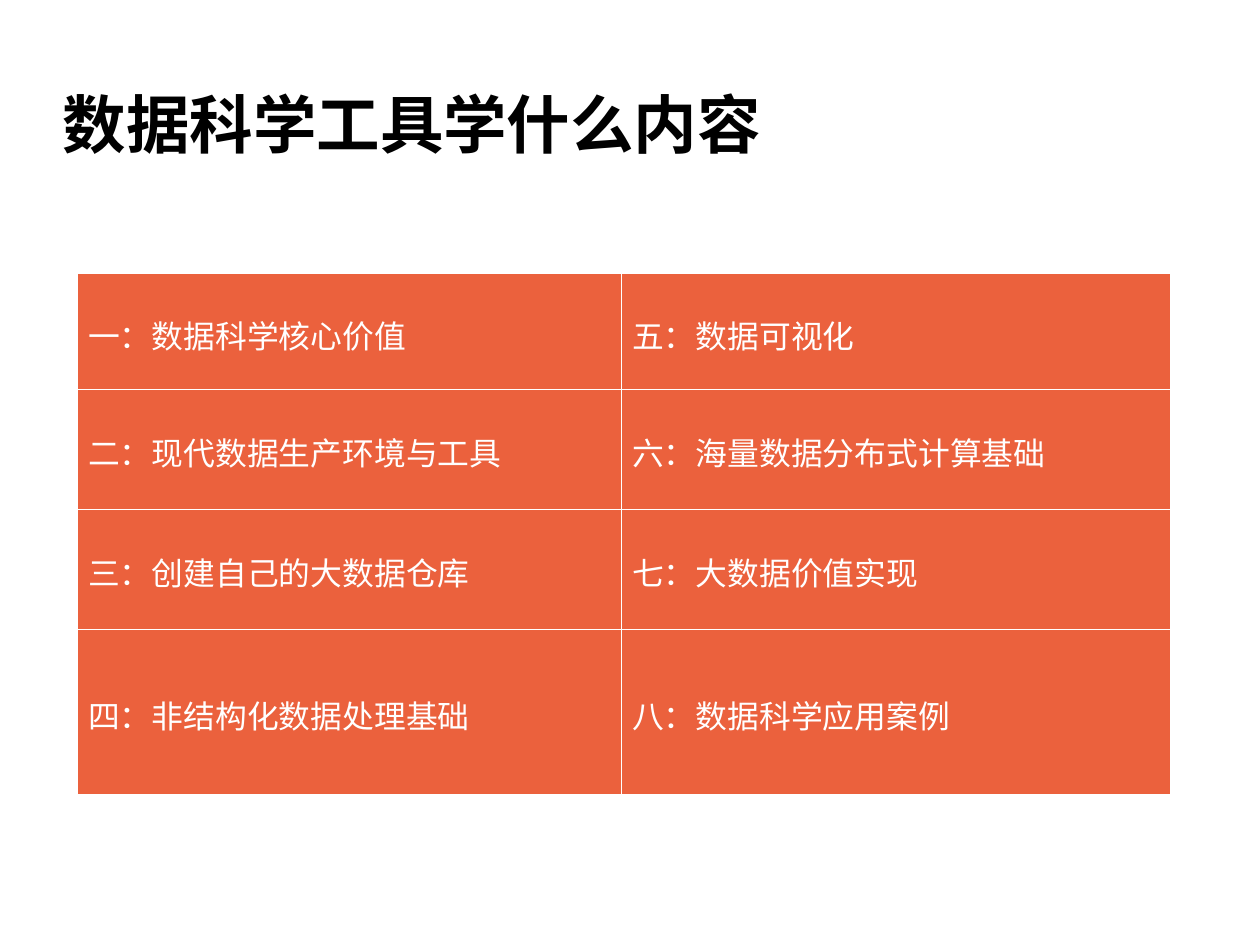
from lxml.etree import SubElement
from pptx import Presentation
from pptx.dml.color import RGBColor
from pptx.enum.text import MSO_ANCHOR, PP_ALIGN
from pptx.oxml import parse_xml
from pptx.oxml.ns import nsdecls, qn
from pptx.util import Cm, Inches, Pt

# Content
TITLE = "数据科学工具学什么内容"
TOPICS = [
    ("一：数据科学核心价值", "五：数据可视化"),
    ("二：现代数据生产环境与工具", "六：海量数据分布式计算基础"),
    ("三：创建自己的大数据仓库", "七：大数据价值实现"),
    ("四：非结构化数据处理基础", "八：数据科学应用案例"),
]

# Style and grid, in inches
FONT = "Noto Sans CJK SC"
COLORS = {"title": "000000", "cell": "EB613D", "text": "FFFFFF", "border": "FFFFFF"}
BORDER_POINTS = 0.06
TITLE_BOX = (0.55, 0.39, 9.92, 1.38)
TABLE_LEFT, TABLE_TOP = 0.67, 2.39
COLUMN_WIDTHS = (4.76, 4.81)
ROW_HEIGHTS = (1.01, 1.05, 1.05, 1.45)


def add_run(para, text, size, color, bold=False):
    span = para.add_run()
    span.text = text
    span.font.size = Pt(size)
    span.font.bold = bold
    span.font.color.rgb = RGBColor.from_string(color)
    span.font.name = FONT
    SubElement(span.font._element, qn("a:ea"), typeface=FONT)


def add_borders(cell, sides):
    properties = cell._tc.get_or_add_tcPr()
    for index, side in enumerate(sides):
        line = parse_xml(
            f'<a:ln{side} {nsdecls("a")} w="{Pt(BORDER_POINTS)}"><a:solidFill>'
            f'<a:srgbClr val="{COLORS["border"]}"/></a:solidFill></a:ln{side}>'
        )
        properties.insert(index, line)


def add_title(page):
    title = page.shapes.title
    title.left, title.top, title.width, title.height = map(Inches, TITLE_BOX)
    frame = title.text_frame
    frame.margin_left = frame.margin_right = frame.margin_top = frame.margin_bottom = 0
    frame.vertical_anchor = MSO_ANCHOR.MIDDLE
    para = frame.paragraphs[0]
    para.alignment = PP_ALIGN.LEFT
    add_run(para, TITLE, 40, COLORS["title"], bold=True)


def add_topic_table(page):
    table = page.shapes.add_table(
        len(ROW_HEIGHTS), len(COLUMN_WIDTHS),
        Inches(TABLE_LEFT), Inches(TABLE_TOP),
        Inches(sum(COLUMN_WIDTHS)), Inches(sum(ROW_HEIGHTS)),
    ).table
    table.first_row = table.horz_banding = False
    for column, width in zip(table.columns, COLUMN_WIDTHS):
        column.width = Inches(width)
    for row, height, topics in zip(table.rows, ROW_HEIGHTS, TOPICS):
        row.height = Inches(height)
        for cell, topic in zip(row.cells, topics):
            cell.fill.solid()
            cell.fill.fore_color.rgb = RGBColor.from_string(COLORS["cell"])
            cell.vertical_anchor = MSO_ANCHOR.MIDDLE
            add_borders(cell, "LRTB")
            para = cell.text_frame.paragraphs[0]
            para.line_spacing = 1.15
            add_run(para, topic, 20, COLORS["text"])


def main():
    deck = Presentation()
    deck.slide_width, deck.slide_height = Cm(28), Cm(21)
    page = deck.slides.add_slide(deck.slide_layouts.get_by_name("Title Only"))
    add_title(page)
    add_topic_table(page)
    deck.save("out.pptx")


if __name__ == "__main__":
    main()
